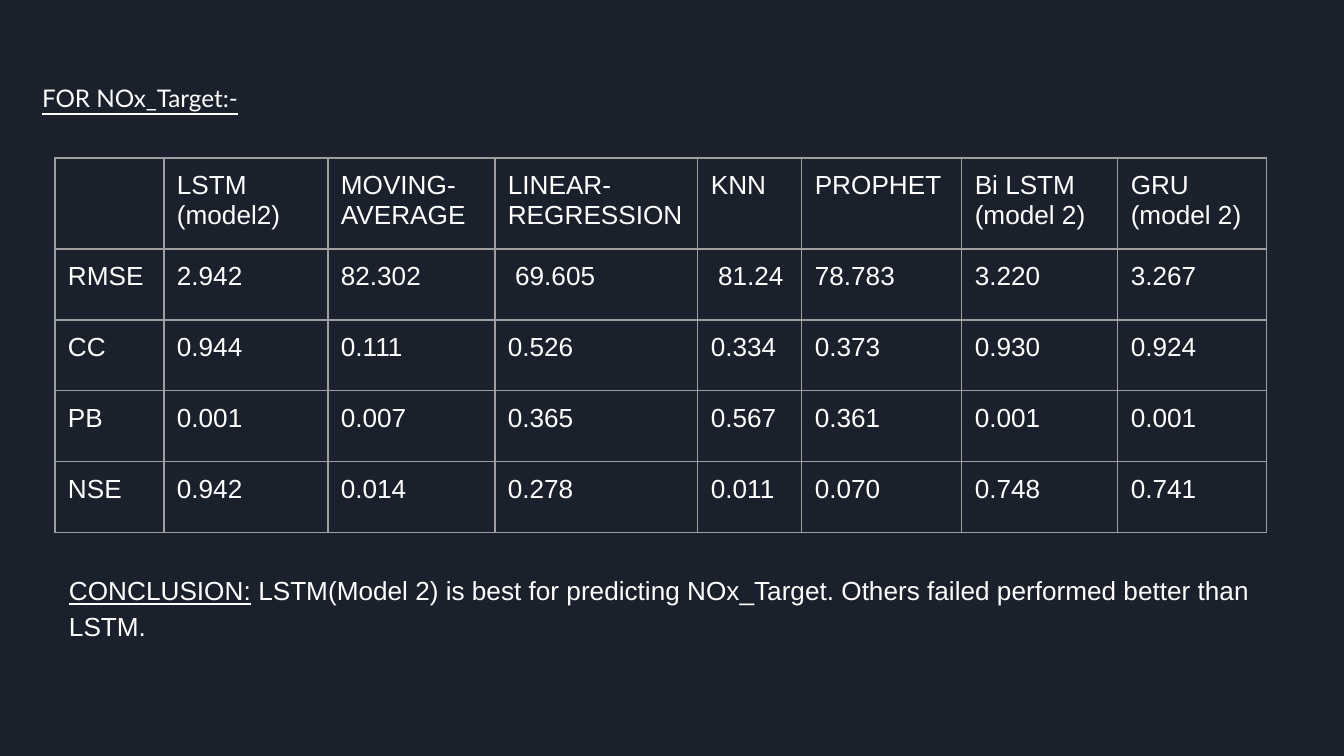
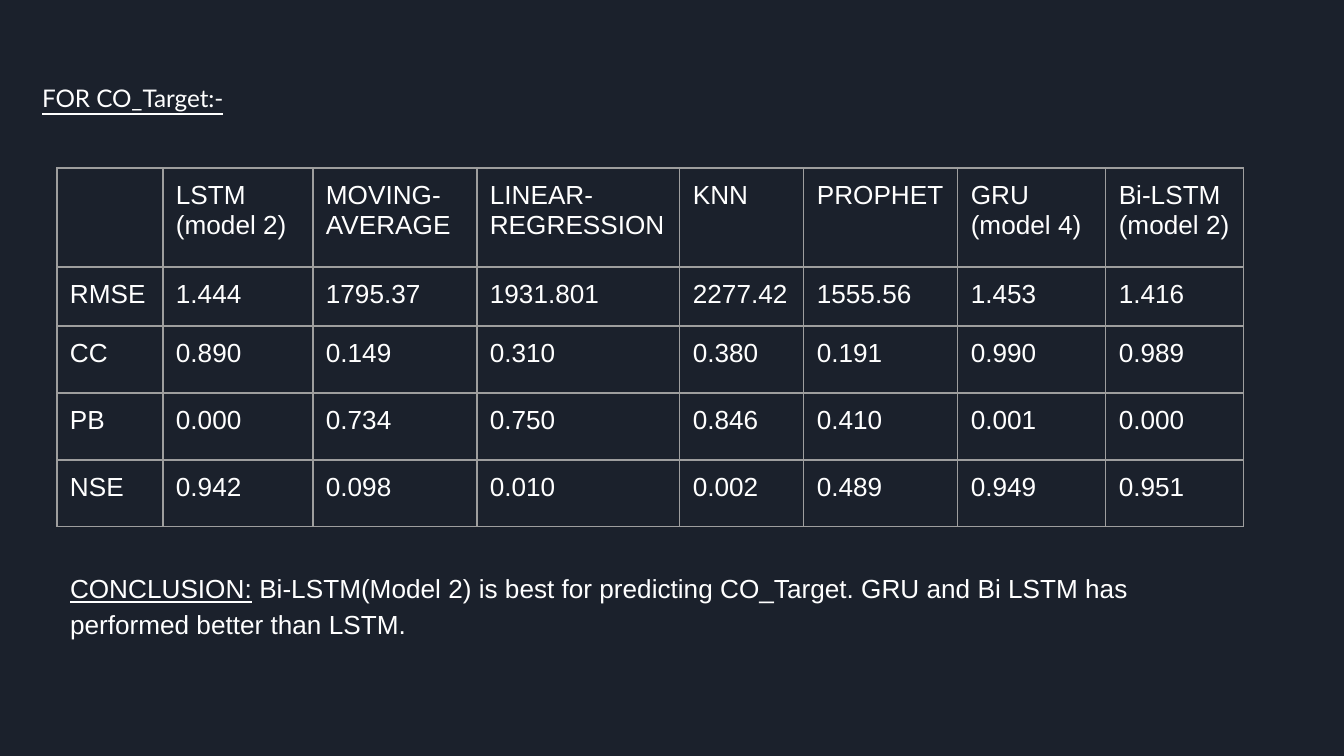
from lxml import etree
from pptx import Presentation
from pptx.dml.color import RGBColor
from pptx.enum.text import MSO_ANCHOR, MSO_AUTO_SIZE, PP_ALIGN
from pptx.oxml.ns import qn
from pptx.util import Emu, Pt

TOP = MSO_ANCHOR.TOP
GROW = MSO_AUTO_SIZE.SHAPE_TO_FIT_TEXT
LEFT = PP_ALIGN.LEFT
TITLE_ONLY = 5
SLIDE_WIDTH, SLIDE_HEIGHT = 1344, 756
EMU_PER_PX = 9144000 / SLIDE_WIDTH
NAVY, WHITE, GREY = "1B212C", "FFFFFF", "9E9E9E"
EDGES = ("a:lnL", "a:lnR", "a:lnT", "a:lnB")


def px(length):
    return Emu(round(length * EMU_PER_PX))


def color(code):
    return RGBColor.from_string(code)


class Deck:
    title_font, title_size = "Lato", 13
    body_font, body_size = "Arial", 14
    inset = 13
    border_width = 0.75

    def __init__(self):
        self.prs = Presentation()
        self.prs.slide_width = px(SLIDE_WIDTH)
        self.prs.slide_height = px(SLIDE_HEIGHT)
        background = self.prs.slide_master.background.fill
        background.solid()
        background.fore_color.rgb = color(NAVY)
        self.slide = None

    def new_slide(self, heading):
        layout = self.prs.slide_layouts[TITLE_ONLY]
        self.slide = self.prs.slides.add_slide(layout)
        title = self.slide.shapes.title
        title.left, title.top = px(29), px(66)
        title.width, title.height = px(1068), px(56)
        paragraph = self.prepare(title.text_frame)
        self.run(paragraph, heading, self.title_font, self.title_size, True)

    def run(self, paragraph, words, font, size, underline=False):
        run = paragraph.add_run()
        run.text = words
        run.font.name = font
        run.font.size = Pt(size)
        run.font.underline = underline
        run.font.color.rgb = color(WHITE)

    def set_insets(self, holder):
        holder.margin_left = holder.margin_right = px(self.inset)
        holder.margin_top = holder.margin_bottom = px(self.inset)
        holder.vertical_anchor = TOP

    def prepare(self, frame):
        frame.word_wrap = True
        frame.auto_size = GROW
        self.set_insets(frame)
        paragraph = frame.paragraphs[0]
        paragraph.alignment = LEFT
        paragraph.line_spacing = 1.15
        paragraph.space_after = Pt(12)
        return paragraph

    def conclusion(self, left, top, width, verdict):
        box = self.slide.shapes.add_textbox(px(left), px(top), px(width), px(95))
        paragraph = self.prepare(box.text_frame)
        self.run(paragraph, "CONCLUSION:", self.body_font, self.body_size, True)
        self.run(paragraph, verdict, self.body_font, self.body_size)

    def border(self, cell):
        properties = cell._tc.get_or_add_tcPr()
        for position, edge in enumerate(EDGES):
            line = etree.Element(qn(edge), w=str(Pt(self.border_width)))
            fill = etree.SubElement(line, qn("a:solidFill"))
            etree.SubElement(fill, qn("a:srgbClr"), val=GREY)
            properties.insert(position, line)

    def fill_cell(self, cell, words):
        self.set_insets(cell)
        cell.fill.background()
        self.border(cell)
        frame = cell.text_frame
        for number, line in enumerate(words.split("\n")):
            paragraph = frame.add_paragraph() if number else frame.paragraphs[0]
            if line:
                self.run(paragraph, line, self.body_font, self.body_size)

    def scores(self, left, top, widths, heights, rows):
        frame = self.slide.shapes.add_table(
            len(heights), len(widths), px(left), px(top),
            px(sum(widths)), px(sum(heights)))
        table = frame.table
        table.first_row = table.horz_banding = False
        for column, width in zip(table.columns, widths):
            column.width = px(width)
        for row, height, entries in zip(table.rows, heights, rows):
            row.height = px(height)
            for cell, words in zip(row.cells, entries):
                self.fill_cell(cell, words)


def main():
    deck = Deck()
    shared_models = ["MOVING-\nAVERAGE", "LINEAR-\nREGRESSION", "KNN", "PROPHET"]

    deck.new_slide("FOR NOx_Target:-")
    deck.scores(55, 158, [109, 164, 167, 203, 104, 160, 156, 149],
                [91, 71, 71, 71, 71], [
        ["", "LSTM\n(model2)", *shared_models, "Bi LSTM\n(model 2)", "GRU\n(model 2)"],
        ["RMSE", "2.942", "82.302", " 69.605", " 81.24", "78.783", "3.220", "3.267"],
        ["CC", "0.944", "0.111", "0.526", "0.334", "0.373", "0.930", "0.924"],
        ["PB", "0.001", "0.007", "0.365", "0.567", "0.361", "0.001", "0.001"],
        ["NSE", "0.942", "0.014", "0.278", "0.011", "0.070", "0.748", "0.741"],
    ])
    deck.conclusion(56, 557, 1212, " LSTM(Model 2) is best for predicting NOx_Target. "
                    "Others failed performed better than LSTM.")

    deck.new_slide("FOR CO_Target:-")
    deck.scores(57, 168, [106, 150, 164, 203, 124, 154, 148, 138],
                [99, 59, 67, 67, 67], [
        ["", "LSTM\n(model 2)", *shared_models, "GRU\n(model 4)", "Bi-LSTM\n(model 2)"],
        ["RMSE", "1.444", "1795.37", "1931.801", "2277.42", "1555.56", "1.453", "1.416"],
        ["CC", "0.890", "0.149", "0.310", "0.380", "0.191", "0.990", "0.989"],
        ["PB", "0.000", "0.734", "0.750", "0.846", "0.410", "0.001", "0.000"],
        ["NSE", "0.942", "0.098", "0.010", "0.002", "0.489", "0.949", "0.951"],
    ])
    deck.conclusion(57, 555, 1187, " Bi-LSTM(Model 2) is best for predicting CO_Target. "
                    "GRU and Bi LSTM has performed better than LSTM.")

    deck.prs.save("out.pptx")


if __name__ == "__main__":
    main()
